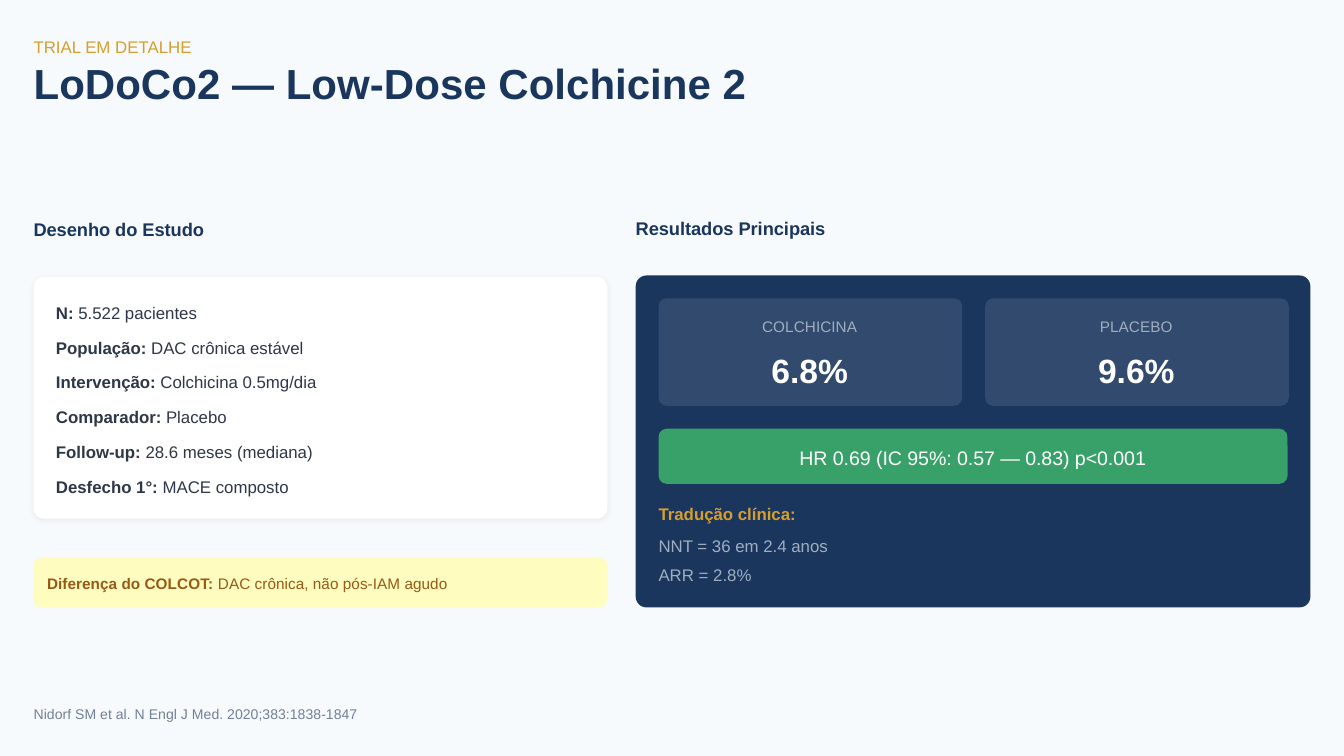
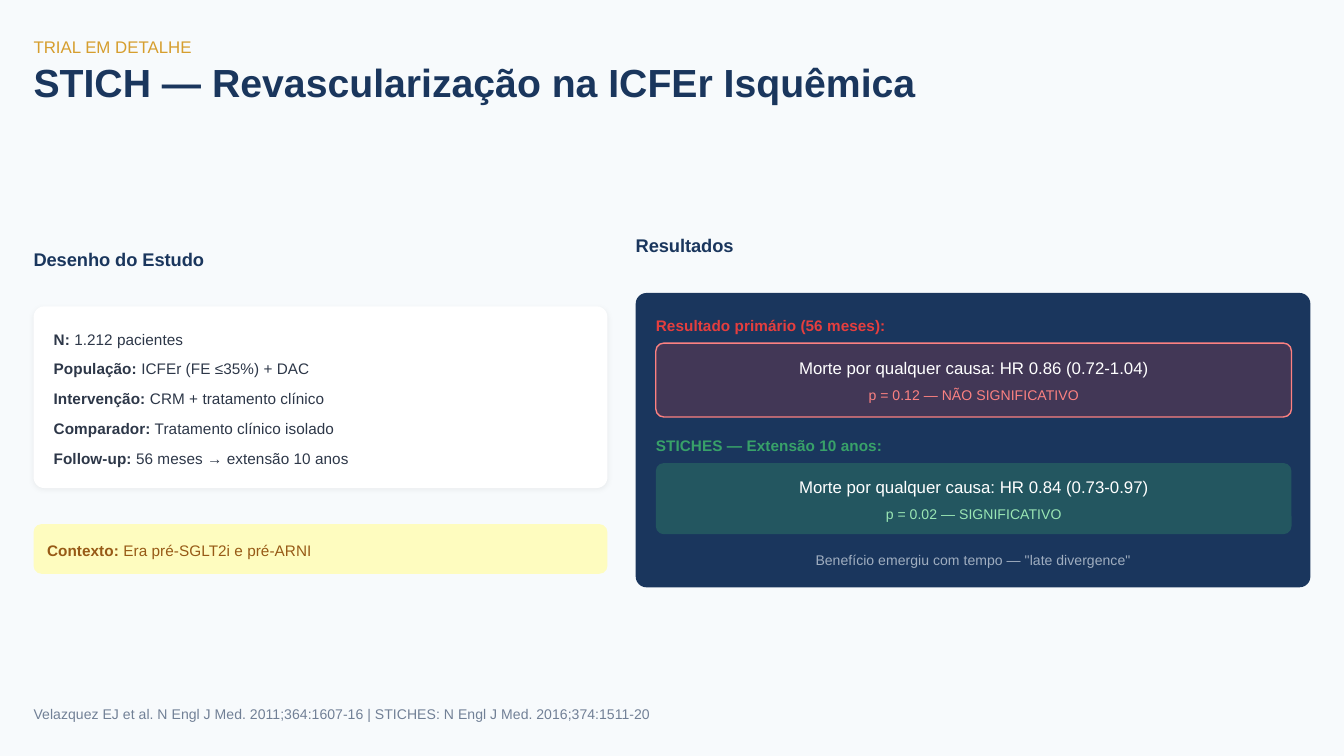
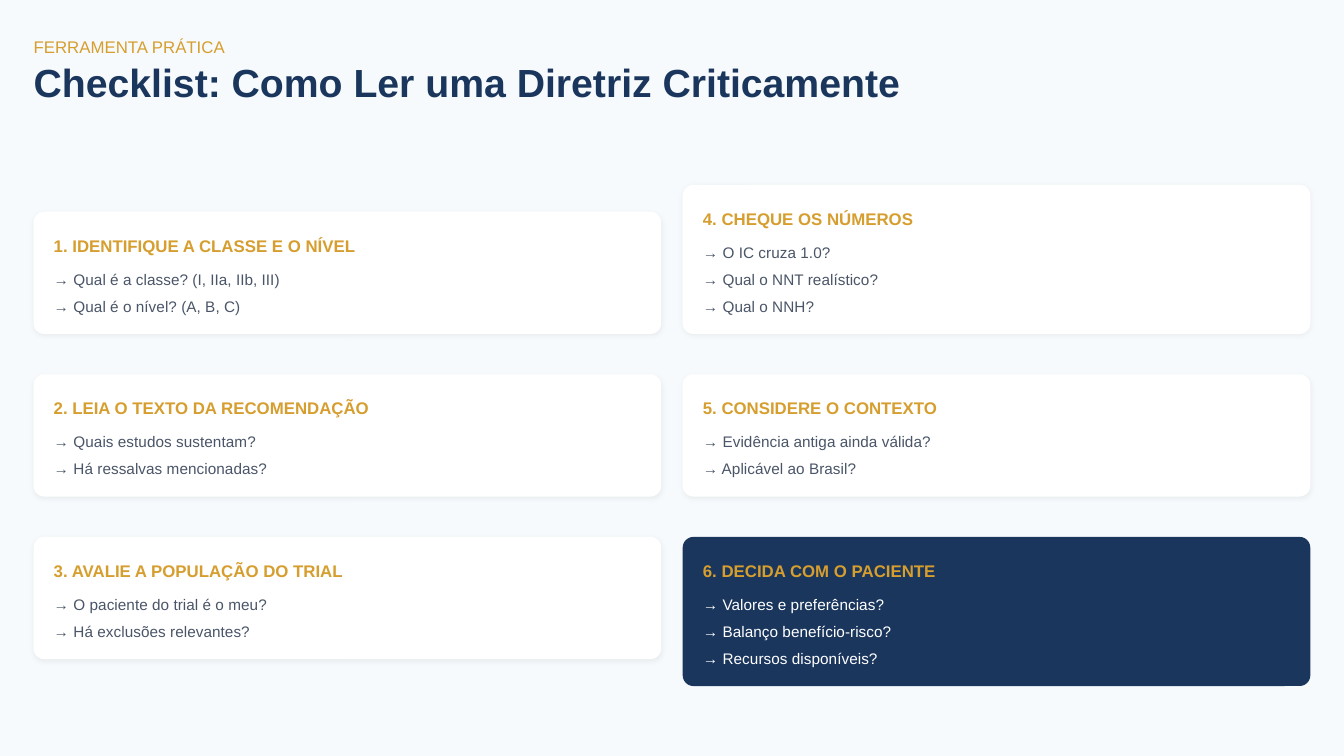
from lxml.etree import SubElement
from pptx import Presentation
from pptx.dml.color import RGBColor
from pptx.enum.shapes import MSO_SHAPE
from pptx.enum.text import MSO_ANCHOR, MSO_AUTO_SIZE, PP_ALIGN
from pptx.oxml.ns import qn
from pptx.util import Inches, Pt

# Shared style
FONT = "Arial"
PAPER = RGBColor(0xF7, 0xFA, 0xFC)
NAVY = RGBColor(0x1A, 0x36, 0x5D)
GOLD = RGBColor(0xD6, 0x9E, 0x2E)
WHITE = RGBColor(0xFF, 0xFF, 0xFF)
INK = RGBColor(0x2D, 0x37, 0x48)
SLATE = RGBColor(0x4A, 0x55, 0x68)
GREY = RGBColor(0x71, 0x80, 0x96)
SILVER = RGBColor(0xA0, 0xAE, 0xC0)
CREAM = RGBColor(0xFE, 0xFC, 0xBF)
BROWN = RGBColor(0x97, 0x5A, 0x16)
GREEN = RGBColor(0x38, 0xA1, 0x69)
MINT = RGBColor(0x9A, 0xE6, 0xB4)
RED = RGBColor(0xE5, 0x3E, 0x3E)
PINK = RGBColor(0xFC, 0x81, 0x81)

SMALL, NOTE, BODY, HEADING = 8.25, 7.5, 9, 9.75
CARD_RADIUS, BOX_RADIUS = 0.08, 0.06
MARGIN, RIGHT_COLUMN = 0.25, 4.73
DESIGN_WIDTH, RESULT_WIDTH = 4.27, 5.02

# Content
LODOCO = {
    "kicker": "TRIAL EM DETALHE",
    "title": ("LoDoCo2 — Low-Dose Colchicine 2", 22.5, 5.41),
    "design": [
        ("N:", " 5.522 pacientes"),
        ("População:", " DAC crônica estável"),
        ("Intervenção:", " Colchicina 0.5mg/dia"),
        ("Comparador:", " Placebo"),
        ("Follow-up:", " 28.6 meses (mediana)"),
        ("Desfecho 1°:", " MACE composto"),
    ],
    "design_style": {"top": 2.06, "pad": 1 / 6, "size": BODY, "after": 6},
    "callout": ("Diferença do COLCOT:", " DAC crônica, não pós-IAM agudo"),
    "callout_top": 4.15,
    "results": "Resultados Principais",
    "panel": (2.05, 2.47),
    "arms": [("COLCHICINA", "6.8%"), ("PLACEBO", "9.6%")],
    "hazard": "HR 0.69 (IC 95%: 0.57 — 0.83) p<0.001",
    "meaning": "Tradução clínica:",
    "effects": ["NNT = 36 em 2.4 anos", "ARR = 2.8%"],
    "source": "Nidorf SM et al. N Engl J Med. 2020;383:1838-1847",
}
STICH = {
    "kicker": "TRIAL EM DETALHE",
    "title": ("STICH — Revascularização na ICFEr Isquêmica", 21, 6.7),
    "design": [
        ("N:", " 1.212 pacientes"),
        ("População:", " ICFEr (FE ≤35%) + DAC"),
        ("Intervenção:", " CRM + tratamento clínico"),
        ("Comparador:", " Tratamento clínico isolado"),
        ("Follow-up:", " 56 meses → extensão 10 anos"),
    ],
    "design_style": {"top": 2.28, "pad": 0.15, "size": SMALL, "after": 4.5},
    "callout": ("Contexto:", " Era pré-SGLT2i e pré-ARNI"),
    "callout_top": 3.9,
    "results": "Resultados",
    "panel": (2.18, 2.19),
    # label, finding, p value, colour, opacity, p colour, border, height
    "verdicts": [
        ("Resultado primário (56 meses):", "Morte por qualquer causa: HR 0.86 (0.72-1.04)",
         "p = 0.12 — NÃO SIGNIFICATIVO", RED, 20, PINK, PINK, 0.55),
        ("STICHES — Extensão 10 anos:", "Morte por qualquer causa: HR 0.84 (0.73-0.97)",
         "p = 0.02 — SIGNIFICATIVO", GREEN, 30, MINT, None, 0.53),
    ],
    "remark": 'Benefício emergiu com tempo — "late divergence"',
    "source": "Velazquez EJ et al. N Engl J Med. 2011;364:1607-16 | "
              "STICHES: N Engl J Med. 2016;374:1511-20",
}
CHECKLIST = {
    "kicker": "FERRAMENTA PRÁTICA",
    "title": ("Checklist: Como Ler uma Diretriz Criticamente", 21, 6.59),
    "columns": [
        [("1. IDENTIFIQUE A CLASSE E O NÍVEL",
          ["Qual é a classe? (I, IIa, IIb, III)", "Qual é o nível? (A, B, C)"]),
         ("2. LEIA O TEXTO DA RECOMENDAÇÃO",
          ["Quais estudos sustentam?", "Há ressalvas mencionadas?"]),
         ("3. AVALIE A POPULAÇÃO DO TRIAL",
          ["O paciente do trial é o meu?", "Há exclusões relevantes?"])],
        [("4. CHEQUE OS NÚMEROS",
          ["O IC cruza 1.0?", "Qual o NNT realístico?", "Qual o NNH?"]),
         ("5. CONSIDERE O CONTEXTO",
          ["Evidência antiga ainda válida?", "Aplicável ao Brasil?"]),
         ("6. DECIDA COM O PACIENTE",
          ["Valores e preferências?", "Balanço benefício-risco?", "Recursos disponíveis?"])],
    ],
    "highlight": "6. DECIDA COM O PACIENTE",
}


# Shared building blocks
def line_height(size, after=0):
    return (size * 1.4 + after) / 72


def write(frame, words, size, color, bold=False, align=PP_ALIGN.LEFT, leading=1.4):
    """Write one line; a (label, value) pair gets a bold label."""
    frame.margin_left = frame.margin_top = frame.margin_right = frame.margin_bottom = 0
    frame.word_wrap = True
    frame.auto_size = MSO_AUTO_SIZE.NONE
    frame.vertical_anchor = MSO_ANCHOR.TOP
    line = frame.paragraphs[0]
    line.alignment = align
    line.line_spacing = Pt(size * leading)
    line.font.name, line.font.size = FONT, Pt(size)
    line.font.color.rgb = color
    if isinstance(words, tuple):
        for part, heavy in zip(words, (True, False)):
            run = line.add_run()
            run.text, run.font.bold = part, heavy
    else:
        line.add_run().text = words
        line.font.bold = bold


def add_line(slide, left, top, width, words, size, color, **style):
    box = slide.shapes.add_textbox(Inches(left), Inches(top), Inches(width),
                                   Inches(line_height(size)))
    write(box.text_frame, words, size, color, **style)


def add_card(slide, left, top, width, height, color, radius=BOX_RADIUS,
             opacity=None, border=None, shadow=False):
    card = slide.shapes.add_shape(MSO_SHAPE.ROUNDED_RECTANGLE, Inches(left), Inches(top),
                                  Inches(width), Inches(height))
    card.adjustments[0] = radius / min(width, height)
    card.fill.solid()
    card.fill.fore_color.rgb = color
    card.shadow.inherit = False
    if border:
        card.line.color.rgb = border
        card.line.width = Pt(0.75)
    else:
        card.line.fill.background()
    properties = card._element.spPr
    if opacity:
        tint = properties.find(qn("a:solidFill"))[0]
        SubElement(tint, qn("a:alpha"), val=str(opacity * 1000))
    if shadow:
        outer = SubElement(properties.find(qn("a:effectLst")), qn("a:outerShdw"),
                           blurRad=str(Pt(3)), dist=str(Pt(0.75)), dir="5400000")
        black = SubElement(outer, qn("a:srgbClr"), val="000000")
        SubElement(black, qn("a:alpha"), val="6000")


def start_slide(prs, content):
    slide = prs.slides.add_slide(prs.slide_layouts[5])
    add_line(slide, MARGIN, 0.25, 9.69, content["kicker"], BODY, GOLD)
    words, size, width = content["title"]
    title = slide.shapes.title
    title.left, title.top = Inches(MARGIN), Inches(0.49)
    title.width, title.height = Inches(width), Inches(size / 72)
    write(title.text_frame, words, size, NAVY, bold=True, leading=1)
    return slide


# Trial slides
def add_trial(prs, trial):
    slide = start_slide(prs, trial)

    # Study design card and callout
    style, rows = trial["design_style"], trial["design"]
    top, pad, size = style["top"], style["pad"], style["size"]
    pitch = line_height(size, style["after"])
    height = 2 * pad + (len(rows) - 1) * pitch + line_height(size)
    add_line(slide, MARGIN, top - 0.46, 4.36, "Desenho do Estudo", HEADING, NAVY, bold=True)
    add_card(slide, MARGIN, top, DESIGN_WIDTH, height, WHITE, CARD_RADIUS, shadow=True)
    for index, row in enumerate(rows):
        add_line(slide, MARGIN + pad, top + pad + index * pitch, 4.04, row, size, INK)
    callout_top = trial["callout_top"]
    add_card(slide, MARGIN, callout_top, DESIGN_WIDTH, 0.37, CREAM)
    add_line(slide, MARGIN + 0.1, callout_top + 0.1, 4.15, trial["callout"], SMALL, BROWN)

    # Results heading, panel and source
    top, height = trial["panel"]
    add_line(slide, RIGHT_COLUMN, top - 0.46, 5.12, trial["results"], HEADING, NAVY, bold=True)
    add_card(slide, RIGHT_COLUMN, top, RESULT_WIDTH, height, NAVY, CARD_RADIUS)
    add_line(slide, MARGIN, 5.23, 9.69, trial["source"], NOTE, GREY)
    return slide


def add_arm_results(slide, trial):
    left, top, arm_width = RIGHT_COLUMN + 0.17, 2.22, 2.26
    center = PP_ALIGN.CENTER
    for index, (arm, rate) in enumerate(trial["arms"]):
        arm_left = left + index * (arm_width + 0.17)
        add_card(slide, arm_left, top, arm_width, 0.8, WHITE, opacity=10)
        add_line(slide, arm_left + 0.1, top + 0.12, 2.05, arm, SMALL, SILVER, align=center)
        add_line(slide, arm_left + 0.1, top + 0.33, 2.05, rate, 18, WHITE,
                 bold=True, align=center)
    add_card(slide, left, 3.19, 4.68, 0.41, GREEN)
    add_line(slide, left + 0.06, 3.29, 4.56, trial["hazard"], 10.5, WHITE, align=center)
    add_line(slide, left, 3.72, 4.78, trial["meaning"], BODY, GOLD, bold=True)
    for index, effect in enumerate(trial["effects"]):
        add_line(slide, left, 3.96 + index * 0.22, 4.78, effect, BODY, SILVER)


def add_verdict_results(slide, trial):
    left, top, width = RIGHT_COLUMN + 0.15, 2.33, 4.73
    center = PP_ALIGN.CENTER
    for label, finding, p_value, color, opacity, p_color, border, height in trial["verdicts"]:
        add_line(slide, left, top, 4.82, label, SMALL, color, bold=True)
        top += line_height(SMALL, 4.5)
        add_card(slide, left, top, width, height, color, opacity=opacity, border=border)
        finding_top = top + height / 2 - 0.19
        add_line(slide, left + 0.05, finding_top, 4.63, finding, BODY, WHITE, align=center)
        add_line(slide, left + 0.05, finding_top + 0.22, 4.63, p_value, NOTE, p_color,
                 align=center)
        top += height + 0.12
    add_line(slide, left - 0.05, 4.08, 4.82, trial["remark"], NOTE, SILVER, align=center)


# Checklist slide: each column of cards is centred on the same height
def add_checklist(prs, checklist):
    slide = start_slide(prs, checklist)
    width, gap, middle, pad, pitch = 4.67, 0.3, 3.24, 0.15, 0.2
    for column, steps in enumerate(checklist["columns"]):
        left = MARGIN + column * (width + 0.16)
        heights = [0.51 + pitch * len(questions) for _, questions in steps]
        top = middle - (sum(heights) + gap * (len(steps) - 1)) / 2
        for (step, questions), height in zip(steps, heights):
            highlighted = step == checklist["highlight"]
            add_card(slide, left, top, width, height, NAVY if highlighted else WHITE,
                     CARD_RADIUS, shadow=not highlighted)
            add_line(slide, left + pad, top + pad, 4.46, step, BODY, GOLD, bold=True)
            for index, question in enumerate(questions):
                add_line(slide, left + pad, top + 0.41 + index * pitch, 4.46,
                         f"→ {question}", SMALL, WHITE if highlighted else SLATE)
            top += height + gap


def main():
    prs = Presentation()
    prs.slide_width, prs.slide_height = Inches(10), Inches(10 * 9 / 16)
    background = prs.slide_master.background.fill
    background.solid()
    background.fore_color.rgb = PAPER
    add_arm_results(add_trial(prs, LODOCO), LODOCO)
    add_verdict_results(add_trial(prs, STICH), STICH)
    add_checklist(prs, CHECKLIST)
    prs.save("out.pptx")


if __name__ == "__main__":
    main()
